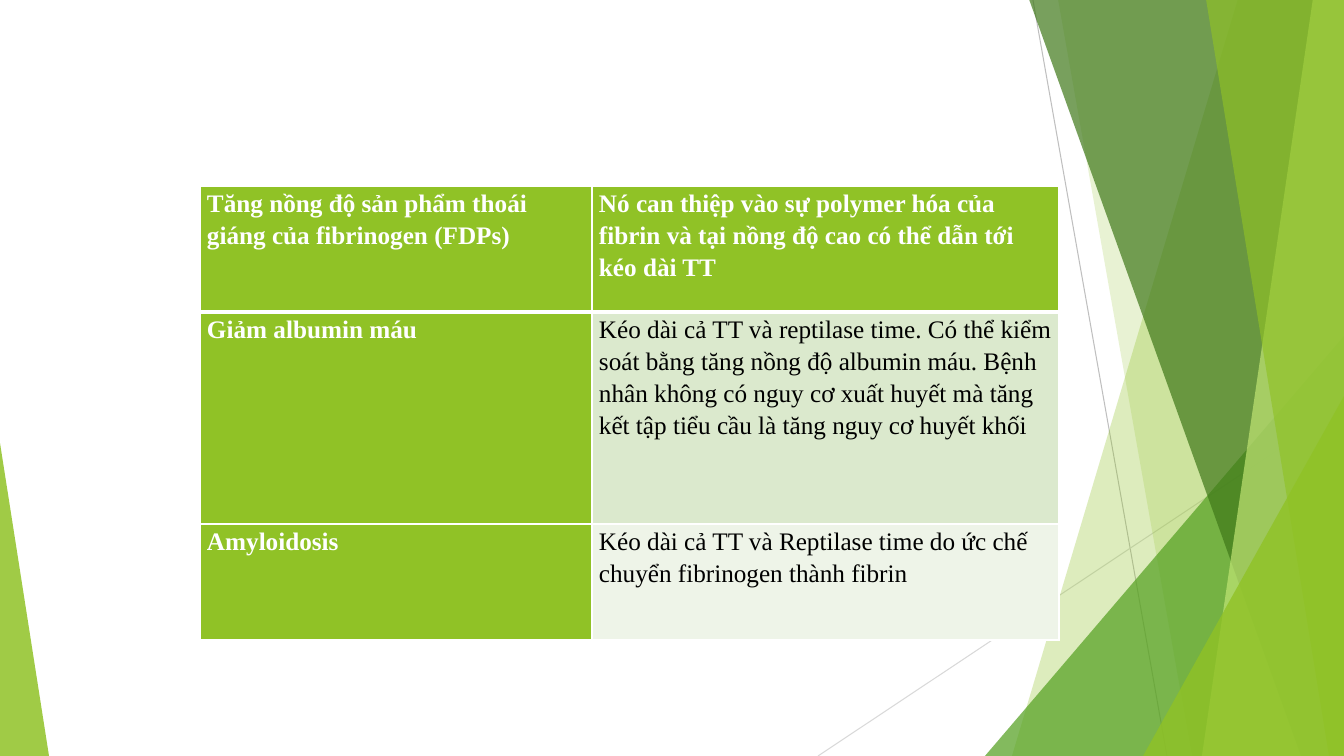
from lxml import etree
from pptx import Presentation
from pptx import util as u
from pptx.dml.color import RGBColor
from pptx.enum import shapes
from pptx.oxml import ns

PX = 914400 / 100.8
W, H = 1344, 756
FONT = "Times New Roman"
GREEN, WHITE, BLACK = "90C226", "FFFFFF", "000000"

ROWS = [
    ("Tăng nồng độ sản phẩm thoái giáng của fibrinogen (FDPs)",
     "Nó can thiệp vào sự polymer hóa của fibrin và tại nồng độ cao có thể dẫn tới kéo dài TT"),
    ("Giảm albumin máu",
     "Kéo dài cả TT và reptilase time. Có thể kiểm soát bằng tăng nồng độ albumin máu. "
     "Bệnh nhân không có nguy cơ xuất huyết mà tăng kết tập tiểu cầu là tăng nguy cơ huyết khối"),
    ("Amyloidosis",
     "Kéo dài cả TT và Reptilase time do ức chế chuyển fibrinogen thành fibrin"),
]
VALUE_FILLS = [GREEN, "DBE9CD", "EEF4E8"]
TABLE_LEFT, TABLE_TOP = 200, 186
COL_WIDTHS = [392, 467]
ROW_HEIGHTS = [126, 212, 116]

# x1, y1, x2, y2, colour
RAYS = [(1033, 0, 1167, H, "BFBFBF"), (W, 406, 818, H, "D9D9D9")]
# Back to front. Band: top x, bottom x, colour, opacity; it runs to the right edge.
# Corner: left, top, width, apex position, colour, opacity; it stands on the bottom edge.
FACETS = [
    ("band", 1238, 1012, GREEN, 30),
    ("band", 1058, 1192, GREEN, 20),
    ("corner", 985, 336, 359, 1, "54A021", 72),
    ("band", 1029, 1301, "3F7819", 70),
    ("band", 1313, 1202, "C0E474", 70),
    ("band", 1206, 1329, GREEN, 65),
    ("corner", 1143, 396, 201, 1, GREEN, 80),
    ("corner", 0, 443, 49, 0, GREEN, 85),
]


def px(n):
    return u.Emu(round(n * PX))


def rgb(value):
    return RGBColor.from_string(value)


def paint(sp, colour, opacity):
    sp.shadow.inherit = False
    sp.line.fill.background()
    sp.fill.solid()
    sp.fill.fore_color.rgb = rgb(colour)
    clr = sp.fill._xPr.find(".//" + ns.qn("a:srgbClr"))
    etree.SubElement(clr, ns.qn("a:alpha"), val=str(opacity * 1000))


def add_ray(s, x1, y1, x2, y2, colour):
    ray = s.shapes.add_connector(shapes.MSO_CONNECTOR.STRAIGHT, px(x1), px(y1), px(x2), px(y2))
    ray.line.color.rgb = rgb(colour)
    ray.line.width = u.Pt(0.75)
    etree.SubElement(ray._element.spPr, ns.qn("a:effectLst"))


def add_band(s, top_x, bottom_x, colour, opacity):
    outline = s.shapes.build_freeform(top_x, -1, scale=PX)
    outline.add_line_segments([(W, -1), (W, H), (bottom_x, H)], close=True)
    paint(outline.convert_to_shape(), colour, opacity)


def add_corner(s, left, top, width, apex, colour, opacity):
    sp = s.shapes.add_shape(shapes.MSO_SHAPE.ISOSCELES_TRIANGLE,
                            px(left), px(top), px(width), px(H - top))
    sp.adjustments[0] = apex
    paint(sp, colour, opacity)


def set_borders(cell, top, bottom):
    """Draw white cell borders; top and bottom are widths in points."""
    tcPr = cell._tc.get_or_add_tcPr()
    for i, (side, width) in enumerate([("L", 1), ("R", 1), ("T", top), ("B", bottom)]):
        ln = etree.Element(ns.qn("a:ln" + side), w=str(u.Pt(width)))
        fill = etree.SubElement(ln, ns.qn("a:solidFill"))
        etree.SubElement(fill, ns.qn("a:srgbClr"), val=WHITE)
        tcPr.insert(i, ln)


def fill_cell(cell, wording, fill, heading):
    cell.margin_left = cell.margin_right = px(7)
    cell.margin_top = cell.margin_bottom = 0
    cell.fill.solid()
    cell.fill.fore_color.rgb = rgb(fill)
    cell.text = wording
    p = cell.text_frame.paragraphs[0]
    p.line_spacing = 1.15
    p.font.name = FONT
    p.font.size = u.Pt(18)
    p.font.bold = heading
    p.font.color.rgb = rgb(WHITE if heading else BLACK)


def add_causes_table(s):
    table = s.shapes.add_table(len(ROWS), len(COL_WIDTHS), px(TABLE_LEFT), px(TABLE_TOP),
                               px(sum(COL_WIDTHS)), px(sum(ROW_HEIGHTS))).table
    for column, width in zip(table.columns, COL_WIDTHS):
        column.width = px(width)
    for r, (row, height) in enumerate(zip(ROWS, ROW_HEIGHTS)):
        table.rows[r].height = px(height)
        for c, wording in enumerate(row):
            cell = table.cell(r, c)
            fill_cell(cell, wording, VALUE_FILLS[r] if c else GREEN, r == 0 or c == 0)
            set_borders(cell, top=3 if r == 1 else 1, bottom=3 if r == 0 else 1)


def main():
    prs = Presentation()
    prs.slide_width, prs.slide_height = px(W), px(H)
    s = prs.slides.add_slide(prs.slide_layouts[6])
    for ray in RAYS:
        add_ray(s, *ray)
    builders = {"band": add_band, "corner": add_corner}
    for kind, *facet in FACETS:
        builders[kind](s, *facet)
    add_causes_table(s)
    prs.save("out.pptx")


if __name__ == "__main__":
    main()
